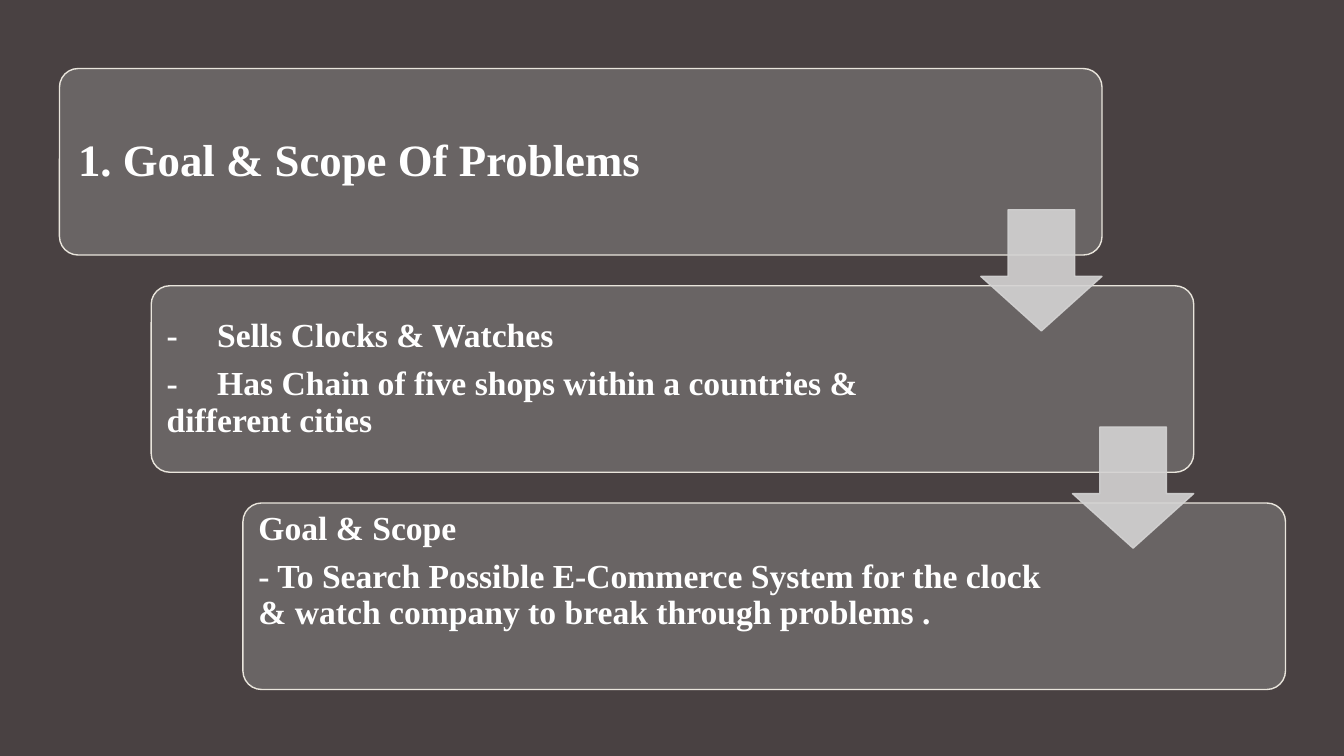
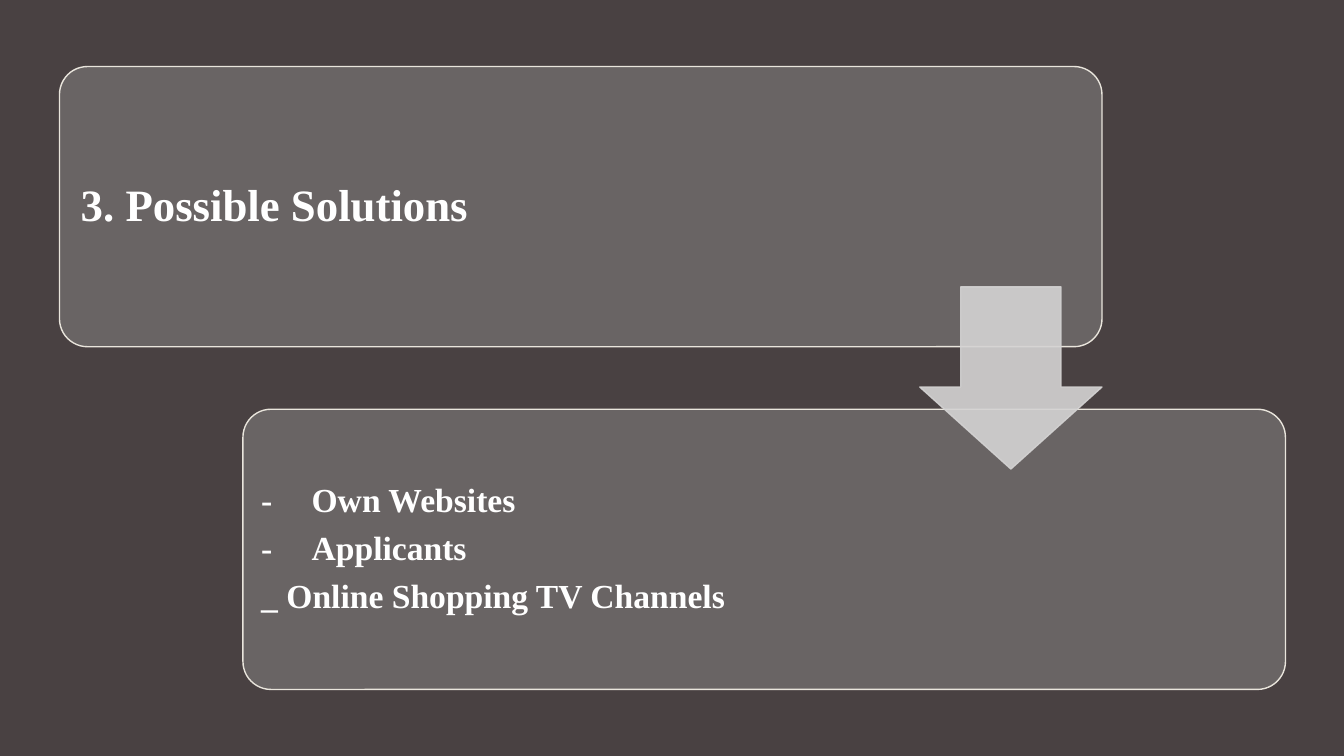
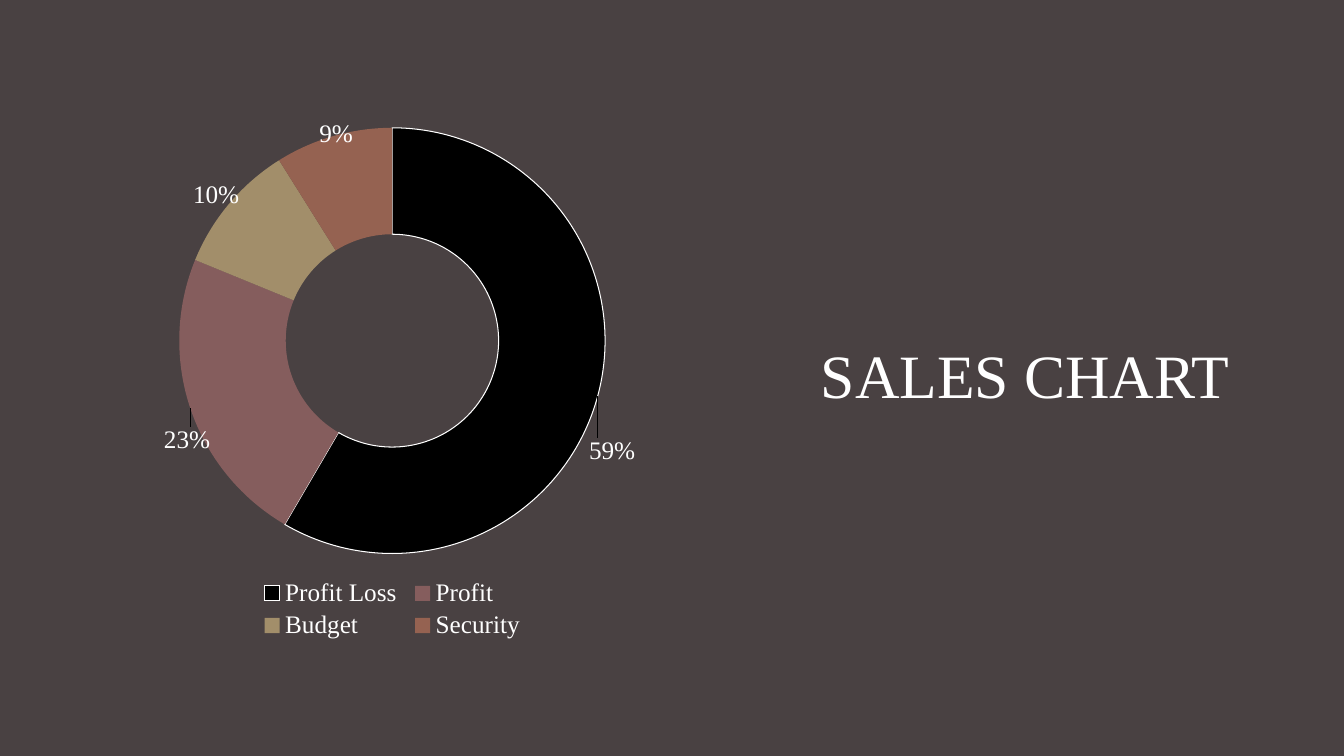
from dataclasses import dataclass

from lxml.etree import SubElement
from pptx import Presentation
from pptx.chart.data import CategoryChartData
from pptx.dml.color import RGBColor
from pptx.enum.chart import XL_CHART_TYPE, XL_LEGEND_POSITION
from pptx.enum.shapes import MSO_SHAPE
from pptx.enum.text import MSO_ANCHOR, MSO_AUTO_SIZE, PP_ALIGN
from pptx.oxml.ns import qn
from pptx.util import Inches, Pt


@dataclass(frozen=True)
class Theme:
    font: str = "Times New Roman"
    background: str = "494142"
    card: str = "696464"
    card_line: str = "E9E5DC"
    arrow: str = "D4D3D3"
    text: str = "FFFFFF"
    slices: tuple = ("000000", "855D5D", "A28E6A", "956251")
    title_size: int = 44
    heading_size: int = 32
    list_size: int = 24
    chart_size: int = 18


THEME = Theme()


def rgb(value):
    return RGBColor.from_string(value)


def style_font(font, size, bold=False):
    font.name = THEME.font
    font.size = Pt(size)
    font.bold = bold
    font.color.rgb = rgb(THEME.text)


def write_text(tf, lines, size, bold=False, align=PP_ALIGN.LEFT, inset=0.1,
               top=None, anchor=MSO_ANCHOR.MIDDLE, after=0, tab=0.27):
    tf.word_wrap = True
    tf.auto_size = MSO_AUTO_SIZE.NONE
    tf.vertical_anchor = anchor
    tf.margin_left = tf.margin_right = tf.margin_bottom = Inches(inset)
    tf.margin_top = Inches(inset if top is None else top)
    for i, line in enumerate(lines):
        p = tf.add_paragraph() if i else tf.paragraphs[0]
        props = p._p.get_or_add_pPr()
        props.set("marL", "0")
        props.set("indent", "0")
        SubElement(props, qn("a:buNone"))
        if "\t" in line:
            stops = SubElement(props, qn("a:tabLst"))
            SubElement(stops, qn("a:tab"), pos=str(Inches(tab)), algn="l")
        p.alignment = align
        p.line_spacing = 0.9
        p.space_before = Pt(0)
        p.space_after = Pt(after)
        r = p.add_run()
        r.text = line
        style_font(r.font, size, bold)


def set_layout(parent, index, **values):
    for old in parent.findall(qn("c:layout")):
        parent.remove(old)
    layout = parent.makeelement(qn("c:layout"))
    parent.insert(index, layout)
    manual = SubElement(layout, qn("c:manualLayout"))
    for tag, value in values.items():
        SubElement(manual, qn(f"c:{tag}"), val=str(value))


class Deck:
    def __init__(self, theme):
        self.theme = theme
        self.prs = Presentation()
        self.prs.slide_width = Inches(13.33)
        self.prs.slide_height = Inches(7.5)
        fill = self.prs.slide_master.background.fill
        fill.solid()
        fill.fore_color.rgb = rgb(theme.background)
        self.s = None

    def new_slide(self, layout):
        self.s = self.prs.slides.add_slide(self.prs.slide_layouts[layout])

    def place(self, ph, left, top, width, height):
        ph.left, ph.top = Inches(left), Inches(top)
        ph.width, ph.height = Inches(width), Inches(height)
        self.s.shapes.element.append(ph.element)

    def shape(self, kind, box, adjustments, fill, line):
        sp = self.s.shapes.add_shape(kind, *(Inches(v) for v in box))
        sp.shadow.inherit = False
        for i, value in enumerate(adjustments):
            sp.adjustments[i] = value
        sp.fill.solid()
        sp.fill.fore_color.rgb = rgb(fill)
        sp.line.color.rgb = rgb(line)
        sp.line.width = Pt(1)
        return sp

    def card(self, box):
        return self.shape(MSO_SHAPE.ROUNDED_RECTANGLE, box, [0.1],
                          self.theme.card, self.theme.card_line)

    def arrow(self, right, middle, size):
        sp = self.shape(MSO_SHAPE.DOWN_ARROW, (right - size, middle - size / 2, size, size),
                        [0.45, 0.55], self.theme.arrow, self.theme.arrow)
        sp.adjustments[0], sp.adjustments[1] = 0.55, 0.45
        for color in sp.element.spPr.xpath(".//a:srgbClr"):
            SubElement(color, qn("a:alpha"), val="90000")

    def staircase(self, top, height, cards, left=0.59, width=10.34,
                  last_left=2.41, bottom=6.84):
        steps = len(cards) - 1
        dx = (last_left - left) / steps
        dy = (bottom - height - top) / steps
        pad = height * 0.029
        for i, (ph, (lines, text_width, extra)) in enumerate(zip(list(self.s.placeholders), cards)):
            x, y = left + i * dx, top + i * dy
            self.card((x, y, width, height))
            size = self.theme.list_size if i else self.theme.heading_size
            self.place(ph, x + pad, y + pad, text_width, height - 2 * pad)
            write_text(ph.text_frame, lines, size, bold=True, after=size * 0.35,
                       inset=0.1 if i else 0.13, **extra)
        for i in range(steps):
            self.arrow(left + i * dx + width, top + i * dy + (height + dy) / 2, height * 0.65)

    def title(self, text, box):
        ph = self.s.shapes.title
        self.place(ph, *box)
        write_text(ph.text_frame, [text], self.theme.title_size, align=PP_ALIGN.CENTER)

    def doughnut(self, box, categories, values, label_offsets):
        data = CategoryChartData(number_format='0"%"')
        data.categories = categories
        data.add_series("Series 1", values)
        chart = self.s.shapes.add_chart(
            XL_CHART_TYPE.DOUGHNUT, *(Inches(v) for v in box), data).chart
        chart.has_title = False
        style_font(chart.font, self.theme.chart_size)
        plot = chart.plots[0]
        plot.vary_by_categories = True
        for i, color in enumerate(self.theme.slices):
            point = plot.series[0].points[i]
            point.format.fill.solid()
            point.format.fill.fore_color.rgb = rgb(color)
            if i:
                point.format.line.fill.background()
            else:
                point.format.line.color.rgb = rgb(self.theme.text)
                point.format.line.width = Pt(0.75)
            style_font(point.data_label.font, self.theme.chart_size)
        for label, (x, y) in zip(chart.element.xpath(".//c:dLbl"), label_offsets):
            set_layout(label, 1, x=x, y=y)
        for hole in chart.element.xpath(".//c:holeSize"):
            hole.set("val", "75")
        chart.has_legend = True
        chart.legend.position = XL_LEGEND_POSITION.BOTTOM
        chart.legend.include_in_layout = False
        style_font(chart.legend.font, self.theme.chart_size)
        set_layout(chart.element.xpath(".//c:legend")[0], 1, xMode="edge", yMode="edge",
                   x=0.27, y=0.87, w=0.46, h=0.13)
        set_layout(chart.element.xpath(".//c:plotArea")[0], 0, layoutTarget="inner",
                   xMode="edge", yMode="edge", x=0.14, y=0.03, w=0.72, h=0.8)


def main():
    deck = Deck(THEME)

    deck.new_slide(3)
    deck.staircase(0.68, 1.85, [
        (["1. Goal & Scope Of Problems"], 8.34, {}),
        (["-\tSells Clocks & Watches",
          "-\tHas Chain of five shops within a countries & different cities"], 8.11 - 1, {}),
        (["Goal & Scope",
          "- To Search Possible E-Commerce System for the clock & watch company "
          "to break through problems ."], 8.11, {"anchor": MSO_ANCHOR.TOP, "top": 0.03}),
    ])

    deck.new_slide(1)
    deck.staircase(0.66, 2.78, [
        (["3. Possible Solutions"], 7.46, {}),
        (["-\tOwn Websites", "-\tApplicants", "_ Online Shopping TV Channels"], 6.54, {}),
    ])

    deck.new_slide(5)
    deck.title("SALES CHART", (7.92, 3.03, 4.5, 1.45))
    deck.doughnut((0.92, 1.11, 5.94, 5.28),
                  ["Profit Loss", "Profit", "Budget", "Security"], [59, 23, 10, 9],
                  [(0.11, 0.13), (-0.09, 0.09), (-0.09, -0.08), (-0.02, -0.1)])

    deck.prs.save("out.pptx")


if __name__ == "__main__":
    main()
